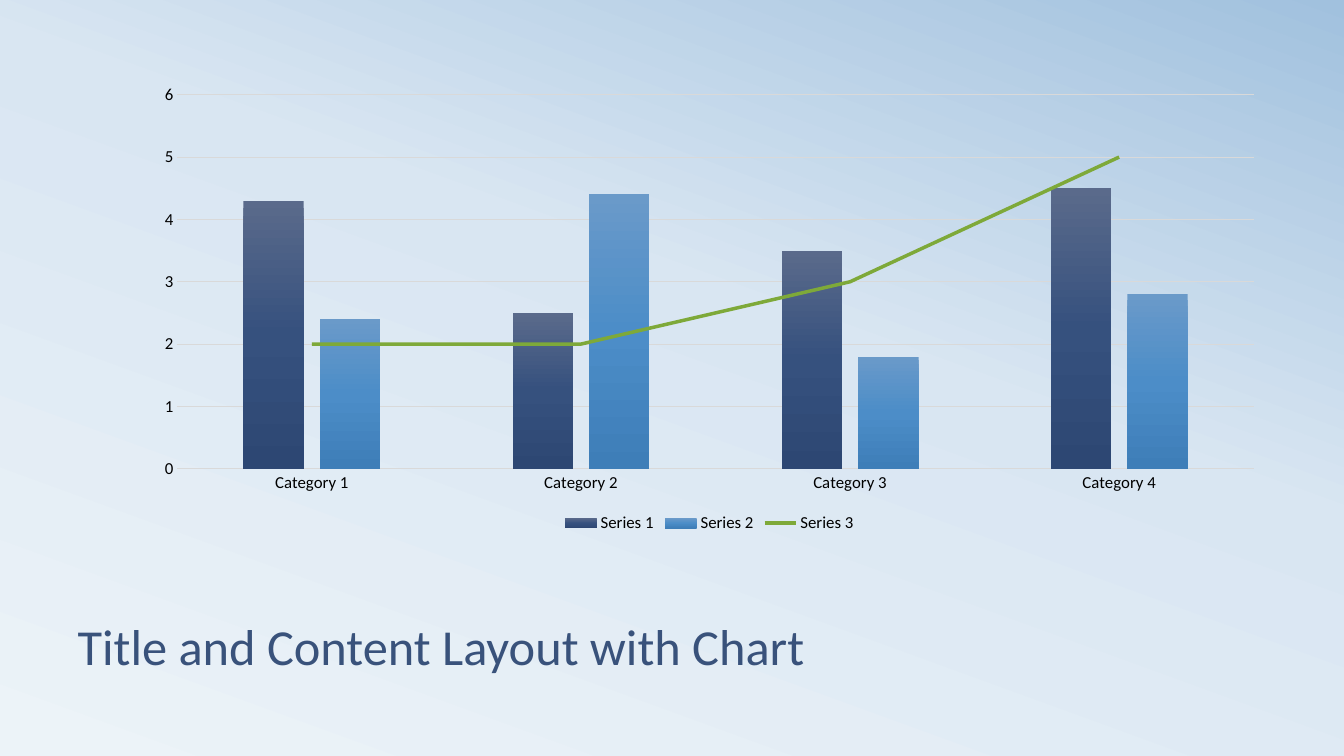
from copy import deepcopy

from pptx import Presentation
from pptx.chart.data import CategoryChartData
from pptx.dml.color import RGBColor
from pptx.enum.chart import (XL_CHART_TYPE as Kind, XL_LEGEND_POSITION as Spot,
                             XL_MARKER_STYLE as Mark, XL_TICK_MARK as Tick)
from pptx.enum.text import MSO_ANCHOR as Anchor, MSO_AUTO_SIZE as Fit, PP_ALIGN as Align
from pptx.oxml import parse_xml
from pptx.oxml.ns import nsdecls, qn
from pptx.util import Inches, Pt

FACE = "Calibri"
CATS = [f"Category {n}" for n in range(1, 5)]
BARS = [
    ("Series 1", (4.3, 2.5, 3.5, 4.5), [(0, "5A6A8B"), (0.5, "36517E"), (1, "2D4773")]),
    ("Series 2", (2.4, 4.4, 1.8, 2.8), [(0, "6A9AC9"), (0.5, "4C8DC8"), (1, "3E7EB8")]),
]
TREND = ("Series 3", (2, 2, 3, 5), "7EA939")


def color(code):
    return RGBColor.from_string(code)


def style(font, size, code):
    font.name = FACE
    font.size = Pt(size)
    font.color.rgb = color(code)


def stroke(line, code, width):
    line.color.rgb = color(code)
    line.width = Pt(width)


def shade(owner, fill, angle, stops):
    """Fill with a three-stop gradient; the angle runs counter-clockwise."""
    fill.gradient()
    fill.gradient_angle = angle
    first = owner.find(".//" + qn("a:gs"))
    first.addnext(deepcopy(first))
    for stop, (pos, code) in zip(fill.gradient_stops, stops):
        stop.position = pos
        stop.color.rgb = color(code)


def add_title(slide, text):
    title = slide.shapes.title
    title.left, title.top = Inches(0.67), Inches(5.58)
    title.width, title.height = Inches(12), Inches(1.17)
    frame = title.text_frame
    frame.text = text
    frame.word_wrap = True
    frame.auto_size = Fit.NONE
    frame.vertical_anchor = Anchor.BOTTOM
    para = frame.paragraphs[0]
    para.alignment = Align.LEFT
    para.line_spacing = 0.8
    style(para.font, 36, "39527B")


def split_line(chart):
    """Move the last bar series into a line plot on the same axes."""
    bars = chart.plots[0]._element
    ser = bars.findall(qn("c:ser"))[-1]
    for flag in ser.findall(qn("c:invertIfNegative")):
        ser.remove(flag)
    plot = parse_xml(f'<c:lineChart {nsdecls("c")}><c:grouping val="standard"/>'
                     '<c:varyColors val="0"/><c:marker val="1"/></c:lineChart>')
    plot.insert(2, ser)
    for axis in bars.findall(qn("c:axId")):
        plot.append(deepcopy(axis))
    bars.addnext(plot)


def format_axes(chart):
    cat, val = chart.category_axis, chart.value_axis
    for axis in (cat, val):
        axis.major_tick_mark = axis.minor_tick_mark = Tick.NONE
        style(axis.tick_labels.font, 12, "000000")
    stroke(cat.format.line, "D9D9D9", 0.75)
    val.format.line.fill.background()
    val.minimum_scale, val.maximum_scale, val.major_unit = 0, 6, 1
    val.has_major_gridlines = True
    stroke(val.major_gridlines.format.line, "D9D9D9", 0.75)


def add_combo(slide):
    data = CategoryChartData()
    data.categories = CATS
    for name, vals, _ in BARS + [TREND]:
        data.add_series(name, vals)
    chart = slide.shapes.add_chart(Kind.COLUMN_CLUSTERED, Inches(1.41), Inches(0.75),
                                   Inches(11.25), Inches(4.58), data).chart
    chart.has_title = False
    style(chart.font, 10, "404040")
    split_line(chart)
    format_axes(chart)

    # Columns
    cols, trend = chart.plots
    cols.vary_by_categories = False
    cols.gap_width, cols.overlap = 219, -27
    for ser, (_, _, stops) in zip(cols.series, BARS):
        shade(ser._element, ser.format.fill, 270, stops)

    # Line
    ser = trend.series[0]
    stroke(ser.format.line, TREND[2], 2.5)
    ser.marker.style = Mark.NONE
    ser.smooth = False

    # Legend
    chart.has_legend = True
    chart.legend.position = Spot.BOTTOM
    chart.legend.include_in_layout = False
    style(chart.legend.font, 12, "000000")


def main():
    deck = Presentation()
    deck.slide_width, deck.slide_height = Inches(13.33), Inches(7.5)
    slide = deck.slides.add_slide(deck.slide_layouts[5])
    shade(slide._element, slide.background.fill, 70,
          [(0, "ECF3F8"), (0.58, "D9E6F2"), (1, "A1C1DE")])
    add_title(slide, "Title and Content Layout with Chart")
    add_combo(slide)
    deck.save("out.pptx")


if __name__ == "__main__":
    main()
